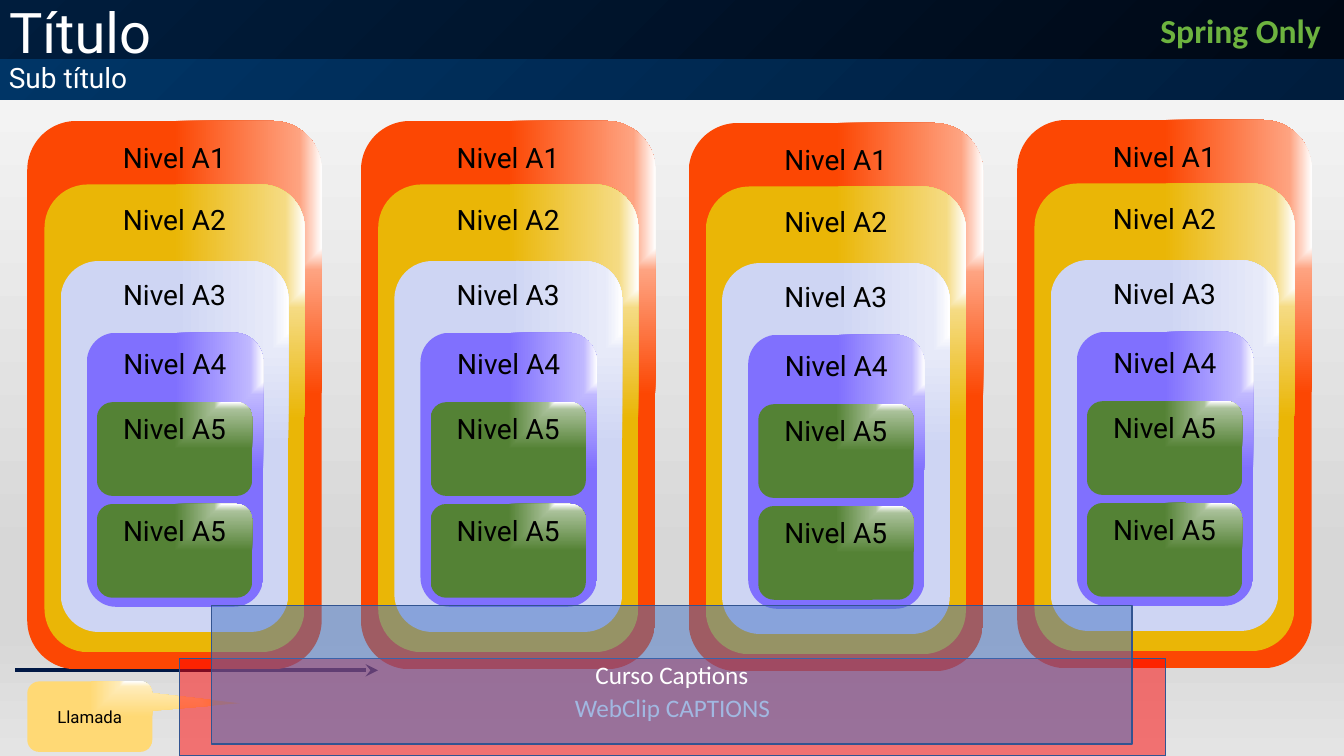
from lxml.etree import SubElement
from pptx import Presentation
from pptx.dml.color import RGBColor
from pptx.enum.shapes import MSO_CONNECTOR as Connector, MSO_SHAPE as Shape
from pptx.enum.text import MSO_ANCHOR as Anchor, MSO_AUTO_SIZE as AutoSize, PP_ALIGN as Align
from pptx.oxml.ns import qn
from pptx.util import Inches, Pt

WIDTH, HEIGHT = Inches(13.33), Inches(7.5)
COLORS = {
    "white": "FFFFFF", "black": "000000", "spring": "6DB33F",
    "night": "000814", "navy": "001D3D", "blue": "003566", "arrow": "001845",
    "red": "FF0000", "caption": "4472C4", "border": "325491",
    "mist": "FAFAFA", "gray": "D7D7D7", "silver": "E4E4E4",
    "orange": "FC4703", "orange_light": "FEA381",
    "gold": "EAB606", "gold_light": "F5DB83",
    "lavender": "CED5F3", "lavender_light": "E7EAF9",
    "violet": "8070FE", "violet_light": "C0B8FF",
    "green": "548235", "green_light": "AAC19A",
    "sand": "FFD975", "sand_light": "FFECBA",
}
# Text, color and place inside a column, in percent of the slide
LEVELS = [
    ("Nivel A1", "orange", (0, 0, 21.91, 72.53)),
    ("Nivel A2", "gold", (1.28, 8.4, 19.35, 61.87)),
    ("Nivel A3", "lavender", (2.48, 18.53, 16.95, 49.07)),
    ("Nivel A4", "violet", (4.43, 28, 13.13, 36.27)),
    ("Nivel A5", "green", (5.18, 37.2, 11.55, 12.4)),
    ("Nivel A5", "green", (5.18, 50.67, 11.55, 12.4)),
]
COLUMNS = [(2.03, 16), (26.86, 16), (51.24, 16.27), (75.69, 15.87)]


def rgb(name):
    return RGBColor.from_string(COLORS[name])


def place(left, top, width, height):
    """Turn percentages of the slide into lengths."""
    return [int(share * side / 100) for share, side in
            zip((left, top, width, height), (WIDTH, HEIGHT) * 2)]


def paint_gradient(fill, owner, stops, angle=None):
    """Fill with (percent, color) stops, radiating from the top right if no angle is given."""
    fill.gradient()
    grad = owner.find(".//" + qn("a:gradFill"))
    for child in list(grad):
        grad.remove(child)
    stop_list = SubElement(grad, qn("a:gsLst"))
    for position, color in stops:
        stop = SubElement(stop_list, qn("a:gs"), pos=str(position * 1000))
        SubElement(stop, qn("a:srgbClr"), val=COLORS[color])
    if angle is None:
        path = SubElement(grad, qn("a:path"), path="rect")
        SubElement(path, qn("a:fillToRect"), l="100000", b="100000")
    else:
        SubElement(grad, qn("a:lin"), ang=str(angle * 60000), scaled="0")


def write(shape, text, size=20, color="black", font="Roboto", bold=False,
          align=Align.CENTER, anchor=Anchor.TOP, spacing=None):
    frame = shape.text_frame
    frame.word_wrap = True
    frame.auto_size = AutoSize.NONE
    frame.vertical_anchor = anchor
    paragraph = frame.paragraphs[0]
    paragraph.alignment = align
    paragraph.line_spacing = spacing
    run = paragraph.add_run()
    run.text = text
    run.font.size, run.font.name, run.font.bold = Pt(size), font, bold
    run.font.color.rgb = rgb(color)


def add_plain(slide, kind, box):
    shape = slide.shapes.add_shape(kind, *place(*box))
    shape.shadow.inherit = False
    shape.line.fill.background()
    return shape


def add_glossy(slide, kind, box, color):
    shape = add_plain(slide, kind, box)
    stops = [(0, "white"), (15, color + "_light"), (100, color)]
    paint_gradient(shape.fill, shape.element, stops)
    return shape


def add_header(slide):
    title = slide.shapes.title
    title.left, title.top, title.width, title.height = place(-0.08, 0, 100.15, 8)
    paint_gradient(title.fill, title.element, [(0, "night"), (100, "navy")], 225)
    write(title, "Título", size=40, color="white", align=Align.LEFT, spacing=0.9)
    subtitle = add_plain(slide, Shape.RECTANGLE, (-0.08, 7.87, 100.15, 5.33))
    paint_gradient(subtitle.fill, subtitle.element, [(0, "navy"), (100, "blue")], 225)
    write(subtitle, "Sub título", color="white", align=Align.LEFT, spacing=0.9)


def add_arrow(slide, left, right, level):
    start, y, end, _ = place(left, level, right, level)
    arrow = slide.shapes.add_connector(Connector.STRAIGHT, start, y, end, y)
    arrow.line.color.rgb = rgb("arrow")
    arrow.line.width = Pt(3)
    SubElement(arrow.line._get_or_add_ln(), qn("a:tailEnd"), type="stealth")
    SubElement(arrow.element.spPr, qn("a:effectLst"))


def add_callout(slide):
    callout = add_glossy(slide, Shape.ROUNDED_RECTANGULAR_CALLOUT,
                         (2.03, 90.13, 9.3, 9.33), "sand")
    for index, value in enumerate((1.2, -0.19, 0.17)):
        callout.adjustments[index] = value
    write(callout, "Llamada", size=12, anchor=Anchor.MIDDLE)


def add_column(slide, left, top):
    for text, color, (dx, dy, width, height) in LEVELS:
        box = (left + dx, top + dy, width, height)
        write(add_glossy(slide, Shape.ROUNDED_RECTANGLE, box, color), text)


def add_caption(slide, text, box, color):
    caption = add_plain(slide, Shape.RECTANGLE, box)
    caption.fill.solid()
    caption.fill.fore_color.rgb = rgb(color)
    tint = caption.element.spPr.find(qn("a:solidFill")).find(qn("a:srgbClr"))
    SubElement(tint, qn("a:alpha"), val="50000")
    caption.line.color.rgb = rgb("border")
    caption.line.width = Pt(1)
    write(caption, text, size=18, color="white", font="Calibri", anchor=Anchor.MIDDLE)


def main():
    deck = Presentation()
    deck.slide_width, deck.slide_height = WIDTH, HEIGHT
    slide = deck.slides.add_slide(deck.slide_layouts[5])
    paint_gradient(slide.background.fill, slide.element,
                   [(0, "mist"), (74, "gray"), (83, "gray"), (100, "silver")], 90)
    add_header(slide)
    add_arrow(slide, 1.13, 28.13, 88.67)
    add_callout(slide)
    badge = slide.shapes.add_textbox(*place(85.6, 0.67, 14.4, 6.67))
    write(badge, "Spring Only", size=24, color="spring", font="Calibri",
          bold=True, align=Align.LEFT)
    for left, top in COLUMNS:
        add_column(slide, left, top)
    add_caption(slide, "WebClip CAPTIONS", (13.35, 87.07, 73.37, 12.93), "red")
    add_caption(slide, "Curso Captions", (15.75, 80.13, 68.49, 18.27), "caption")
    deck.save("out.pptx")


if __name__ == "__main__":
    main()
